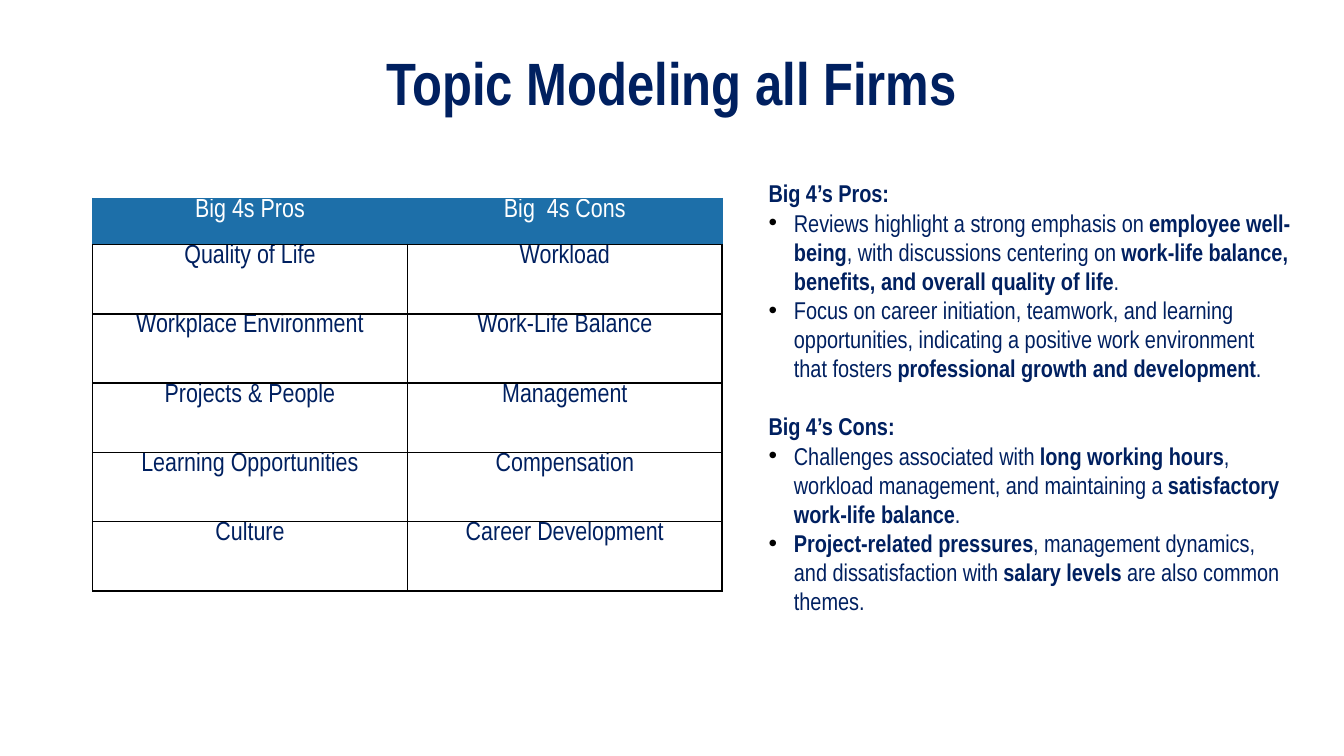
from dataclasses import dataclass

from lxml.etree import SubElement
from pptx import Presentation
from pptx.dml.color import RGBColor
from pptx.enum.text import MSO_ANCHOR, MSO_AUTO_SIZE, PP_ALIGN
from pptx.oxml.ns import qn
from pptx.util import Cm, Pt


@dataclass(frozen=True)
class Theme:
    font: str = "Arial Narrow"
    navy: str = "002060"
    blue: str = "1D6FA9"
    white: str = "FFFFFF"
    black: str = "000000"
    title_size: float = 32
    table_size: float = 14
    body_size: float = 13
    gap: float = 15.5


class SlideBuilder:
    def __init__(self, slide, theme):
        self.slide = slide
        self.theme = theme

    def style(self, paragraph, size, color, bold=None):
        font = paragraph.font
        font.name, font.size, font.bold = self.theme.font, Pt(size), bold
        font.color.rgb = RGBColor.from_string(color)

    def place(self, holder, left, top, width, height, anchor):
        holder.left, holder.top = Cm(left), Cm(top)
        holder.width, holder.height = Cm(width), Cm(height)
        frame = holder.text_frame
        frame.word_wrap = True
        frame.auto_size = MSO_AUTO_SIZE.NONE
        frame.vertical_anchor = anchor
        return frame

    def title(self, text, *box):
        frame = self.place(self.slide.shapes.title, *box, MSO_ANCHOR.MIDDLE)
        frame.text = text
        heading = frame.paragraphs[0]
        heading.alignment = PP_ALIGN.CENTER
        heading.line_spacing = 0.9
        self.style(heading, self.theme.title_size, self.theme.navy, True)

    def bullet(self, paragraph, shown):
        props = paragraph._p.get_or_add_pPr()
        indent = Cm(0.48) if shown else 0
        props.set("marL", str(indent))
        props.set("indent", str(-indent))
        if shown:
            color = SubElement(props, qn("a:buClr"))
            SubElement(color, qn("a:srgbClr"), val=self.theme.black)
            SubElement(props, qn("a:buFont"), typeface="Arial")
            SubElement(props, qn("a:buChar"), char="•")
        else:
            SubElement(props, qn("a:buNone"))

    def body(self, sections, *box):
        """Write headed bullet lists; ** switches bold on and off."""
        frame = self.place(self.slide.placeholders[1], *box, MSO_ANCHOR.TOP)
        lines = [(text, i > 0, section > 0 and i == 0)
                 for section, (heading, points) in enumerate(sections)
                 for i, text in enumerate([f"**{heading}**", *points])]
        for number, (text, bulleted, gap_above) in enumerate(lines):
            paragraph = frame.add_paragraph() if number else frame.paragraphs[0]
            self.bullet(paragraph, bulleted)
            paragraph.space_before = Pt(self.theme.gap if gap_above else 0)
            self.style(paragraph, self.theme.body_size, self.theme.navy)
            for part, piece in enumerate(text.split("**")):
                if piece:
                    run = paragraph.add_run()
                    run.text = piece
                    run.font.bold = part % 2 == 1

    def border(self, cell, side, color, width):
        line = SubElement(cell._tc.get_or_add_tcPr(), qn(f"a:ln{side}"),
                          w=str(Pt(width)))
        fill = SubElement(line, qn("a:solidFill"))
        SubElement(fill, qn("a:srgbClr"), val=color)

    def table(self, rows, left, top, column_width, header_height, row_height):
        theme = self.theme
        columns = len(rows[0])
        height = header_height + row_height * (len(rows) - 1)
        grid = self.slide.shapes.add_table(
            len(rows), columns, Cm(left), Cm(top),
            Cm(column_width * columns), Cm(height)).table
        for column in grid.columns:
            column.width = Cm(column_width)
        for r, texts in enumerate(rows):
            header = r == 0
            grid.rows[r].height = Cm(header_height if header else row_height)
            for c, text in enumerate(texts):
                cell = grid.cell(r, c)
                cell.text = text
                cell.margin_top = cell.margin_bottom = 0
                cell.vertical_anchor = MSO_ANCHOR.TOP
                # Header edges are blue, apart from the rule below it
                for side in "LRTB":
                    if header and side != "B":
                        self.border(cell, side, theme.blue, 0.5)
                    else:
                        self.border(cell, side, theme.black, 1)
                if header:
                    cell.fill.solid()
                    cell.fill.fore_color.rgb = RGBColor.from_string(theme.blue)
                else:
                    cell.fill.background()
                label = cell.text_frame.paragraphs[0]
                label.alignment = PP_ALIGN.CENTER
                self.style(label, theme.table_size,
                           theme.white if header else theme.navy, False)


TOPICS = [
    ("Big 4s Pros", "Big  4s Cons"),
    ("Quality of Life", "Workload"),
    ("Workplace Environment", "Work-Life Balance"),
    ("Projects & People", "Management"),
    ("Learning Opportunities", "Compensation"),
    ("Culture", "Career Development"),
]

FINDINGS = [
    ("Big 4’s Pros:", [
        "Reviews highlight a strong emphasis on **employee well-being**, with "
        "discussions centering on **work-life balance, benefits, and overall "
        "quality of life**.",
        "Focus on career initiation, teamwork, and learning opportunities, "
        "indicating a positive work environment that fosters "
        "**professional growth and development**.",
    ]),
    ("Big 4’s Cons:", [
        "Challenges associated with **long working hours**, workload "
        "management, and maintaining a **satisfactory work-life balance**.",
        "**Project-related pressures**, management dynamics, and "
        "dissatisfaction with **salary levels **are also common themes.",
    ]),
]


def main():
    deck = Presentation()
    deck.slide_width, deck.slide_height = Cm(25.4), Cm(14.29)
    builder = SlideBuilder(deck.slides.add_slide(deck.slide_layouts[1]), Theme())

    # Title, topic table on the left, findings on the right
    builder.title("Topic Modeling all Firms", 1.75, 0.76, 21.9, 1.73)
    builder.table(TOPICS, 1.75, 3.75, column_width=5.95,
                  header_height=0.87, row_height=1.31)
    builder.body(FINDINGS, 14.27, 3.25, 10.4, 8.6)

    deck.save("out.pptx")


if __name__ == "__main__":
    main()
